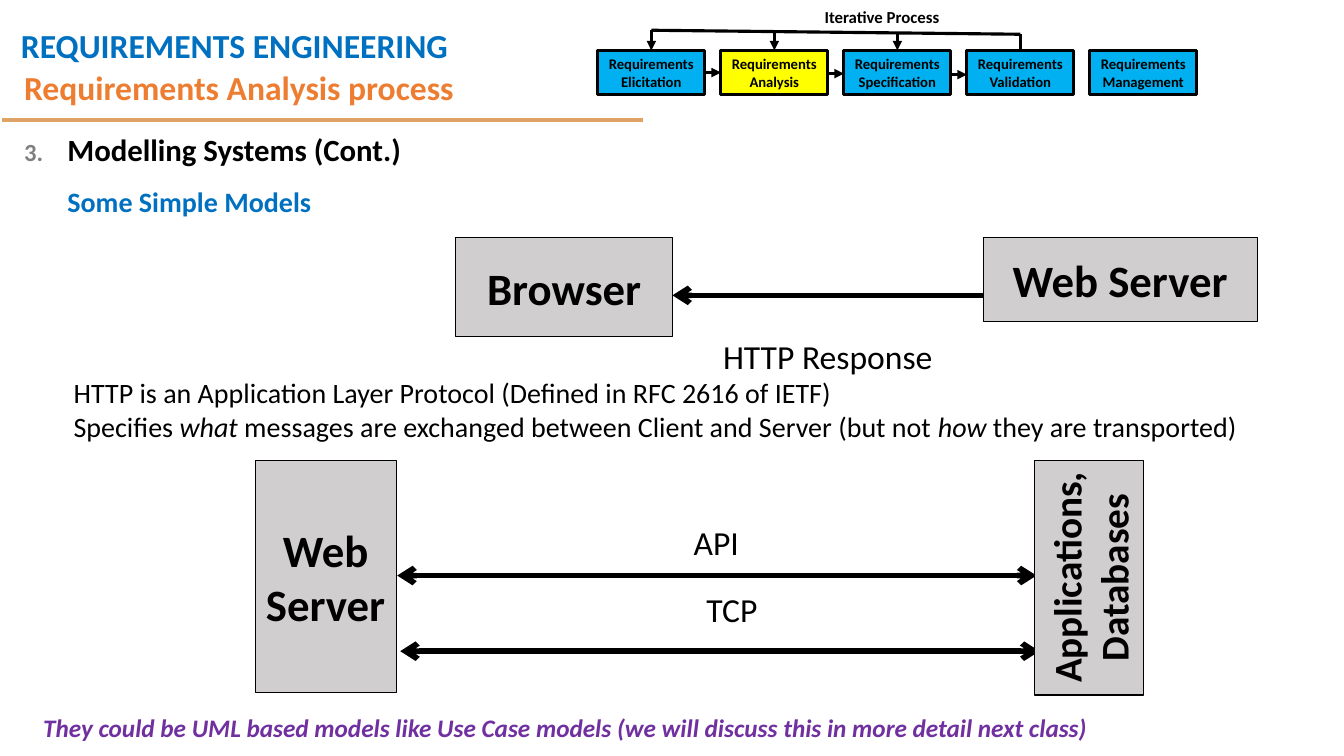
import pptx
import pptx.dml.color
import pptx.enum.shapes
import pptx.enum.text
import pptx.oxml.ns
import pptx.util
from lxml import etree

PX = 9144  # EMU per px, 100 px to the inch
FONT = "Calibri"
BLACK, GREY, BLUE, SKY = "000000", "D0CECE", "0070C0", "00B0F0"
ALIGN = pptx.enum.text.PP_ALIGN
ANCHOR = pptx.enum.text.MSO_ANCHOR


def px(*lengths):
    return [pptx.util.Emu(n * PX) for n in lengths]


def rgb(value):
    return pptx.dml.color.RGBColor.from_string(value)


def add_xml(parent, tag, **attrs):
    return etree.SubElement(parent, pptx.oxml.ns.qn(tag), attrs)


def format_frame(tf, inset=(10, 5), **values):
    side, top = px(*inset)
    frame = {"word_wrap": True, "margin_left": side, "margin_right": side,
             "margin_top": top, "margin_bottom": top}
    for name, value in (frame | values).items():
        setattr(tf, name, value)


def write(p, runs, size, color=BLACK, bold=False, **values):
    """Fill a paragraph with (text, italic) runs; a plain string is one upright run."""
    for name, value in values.items():
        setattr(p, name, value)
    for text, italic in [(runs, False)] if isinstance(runs, str) else runs:
        r = p.add_run()
        r.text = text
        font = {"name": FONT, "size": pptx.util.Pt(size), "bold": bold, "italic": italic}
        for name, value in font.items():
            setattr(r.font, name, value)
        r.font.color.rgb = rgb(color)


def add_text(s, box, runs, size, color=BLACK, bold=False, frame=None, **values):
    tf = s.shapes.add_textbox(*px(*box)).text_frame
    format_frame(tf, **(frame or {}))
    write(tf.paragraphs[0], runs, size, color, bold, **values)
    return tf


def add_label(s, box, text):
    add_text(s, box, text, 24, frame={"vertical_anchor": ANCHOR.MIDDLE},
             alignment=ALIGN.CENTER)


def add_box(s, box, text, size, fill=GREY, line=0.75, rotation=0):
    sp = s.shapes.add_shape(pptx.enum.shapes.MSO_SHAPE.RECTANGLE, *px(*box))
    sp.shadow.inherit = False
    sp.rotation = rotation
    sp.fill.solid()
    sp.fill.fore_color.rgb = rgb(fill)
    sp.line.color.rgb = rgb(BLACK)
    sp.line.width = pptx.util.Pt(line)
    format_frame(sp.text_frame, inset=(5, 5), vertical_anchor=ANCHOR.MIDDLE)
    write(sp.text_frame.paragraphs[0], text, size, bold=True, alignment=ALIGN.CENTER)


def add_line(s, start, end, width, color=BLACK, head=None, tail=None):
    cn = s.shapes.add_connector(pptx.enum.shapes.MSO_CONNECTOR.STRAIGHT, *px(*start, *end))
    cn.line.color.rgb = rgb(color)
    cn.line.width = pptx.util.Pt(width)
    ln = cn.line._get_or_add_ln()
    for tag, kind in (("a:headEnd", head), ("a:tailEnd", tail)):
        if kind:
            add_xml(ln, tag, type=kind)
    add_xml(cn._element.spPr, "a:effectLst")


def add_heading(s, x, y, w):
    add_text(s, (x + 9, y, 461, 64), "REQUIREMENTS ENGINEERING", 24, BLUE, True,
             line_spacing=1.5)
    add_line(s, (x, y + 119), (x + w, y + 119), 3, "DFA267")
    add_text(s, (x + 12, y + 58, 1150, 61), "Requirements Analysis process", 24, "ED7D31",
             True, frame={"vertical_anchor": ANCHOR.MIDDLE}, line_spacing=0.9)


def add_process(s, x, y):
    """Row of process steps with the feedback line above them."""
    steps = ["Elicitation", "Analysis", "Specification", "Validation", "Management"]
    w, h, pitch, top = 106, 44, 122, 48
    for i, step in enumerate(steps):
        left = x + i * pitch
        fill = "FFFF00" if step == "Analysis" else SKY
        add_box(s, (left, y + top, w, h), f"Requirements {step}", 10.5, fill, 2.25)
        if i < 3:
            mid = y + top + h // 2 + i
            add_line(s, (left + w, mid), (left + pitch, mid), 2.25, tail="triangle")
            bar = y + 28 + i
            add_line(s, (left + w // 2, bar), (left + w // 2, y + top), 2.25, tail="triangle")
    first, last = x + w // 2, x + 3 * pitch + w // 2
    add_line(s, (first, y + 28), (last, y + 32), 2.25)
    add_line(s, (last, y + 32), (last, y + top), 2.25)
    add_text(s, (x + 215, y, 135, 28), "Iterative Process", 12, bold=True,
             frame={"word_wrap": False})


def add_topic(s, box):
    tf = s.shapes.add_textbox(*px(*box)).text_frame
    format_frame(tf)
    p = tf.paragraphs[0]
    pPr = p._p.get_or_add_pPr()
    indent, = px(43)
    pPr.set("marL", str(indent))
    pPr.set("indent", str(-indent))
    add_xml(add_xml(pPr, "a:buClr"), "a:srgbClr", val="808080")
    add_xml(pPr, "a:buSzPct", val="80000")
    add_xml(pPr, "a:buFont", typeface="+mj-lt")
    add_xml(pPr, "a:buAutoNum", type="arabicPeriod", startAt="3")
    write(p, "Modelling Systems (Cont.)", 22, bold=True)
    p = tf.add_paragraph()
    p._p.get_or_add_pPr().set("marL", str(indent))
    write(p, "Some Simple Models", 20, BLUE, True, space_before=pptx.util.Pt(12))


def add_response_model(s, x, y):
    add_box(s, (x + 523, y, 272, 83), "Web Server", 32)
    add_box(s, (x, y, 215, 98), "Browser", 32)
    add_line(s, (x + 523, y + 57), (x + 215, y + 57), 4, tail="arrow")
    add_label(s, (x + 223, y + 67, 292, 100), "HTTP Response")


def add_protocol_note(s, box):
    tf = add_text(s, box, "HTTP is an Application Layer Protocol (Defined in RFC 2616 of IETF)",
                  20, frame={"inset": (4, 4)})
    write(tf.add_paragraph(), [
        ("Specifies ", False), ("what", True),
        (" messages are exchanged between Client and Server (but not ", False),
        ("how", True), (" they are transported)", False)], 20)


def add_transport_model(s, x, y):
    add_box(s, (x, y, 140, 230), "Web Server", 32)
    links = [("API", 141, 114, 633, 39), ("TCP", 144, 189, 610, 106)]
    for text, left, level, label_w, label_top in links:
        right = left + 634
        add_line(s, (x + left, y + level), (x + right, y + level), 4,
                 head="arrow", tail="arrow")
        label_left = x + 774 - label_w if text == "API" else x + right - label_w
        add_label(s, (label_left, y + label_top, label_w, 83), text)
    add_box(s, (x + 711, y + 62, 233, 108), "Applications, Databases", 28, rotation=270)


def main():
    prs = pptx.Presentation()
    prs.slide_width, prs.slide_height = px(1333, 750)
    s = prs.slides.add_slide(prs.slide_layouts[6])
    add_heading(s, 2, 0, 636)
    add_topic(s, (14, 125, 1312, 100))
    add_process(s, 593, 2)
    add_response_model(s, 452, 236)
    add_protocol_note(s, (69, 369, 1257, 80))
    add_transport_model(s, 253, 457)
    add_text(s, (33, 702, 1213, 40),
             [("They could be UML based models like Use Case models "
               "(we will discuss this in more detail next class)", True)],
             18, "7030A0", True)
    prs.save("out.pptx")


if __name__ == "__main__":
    main()
